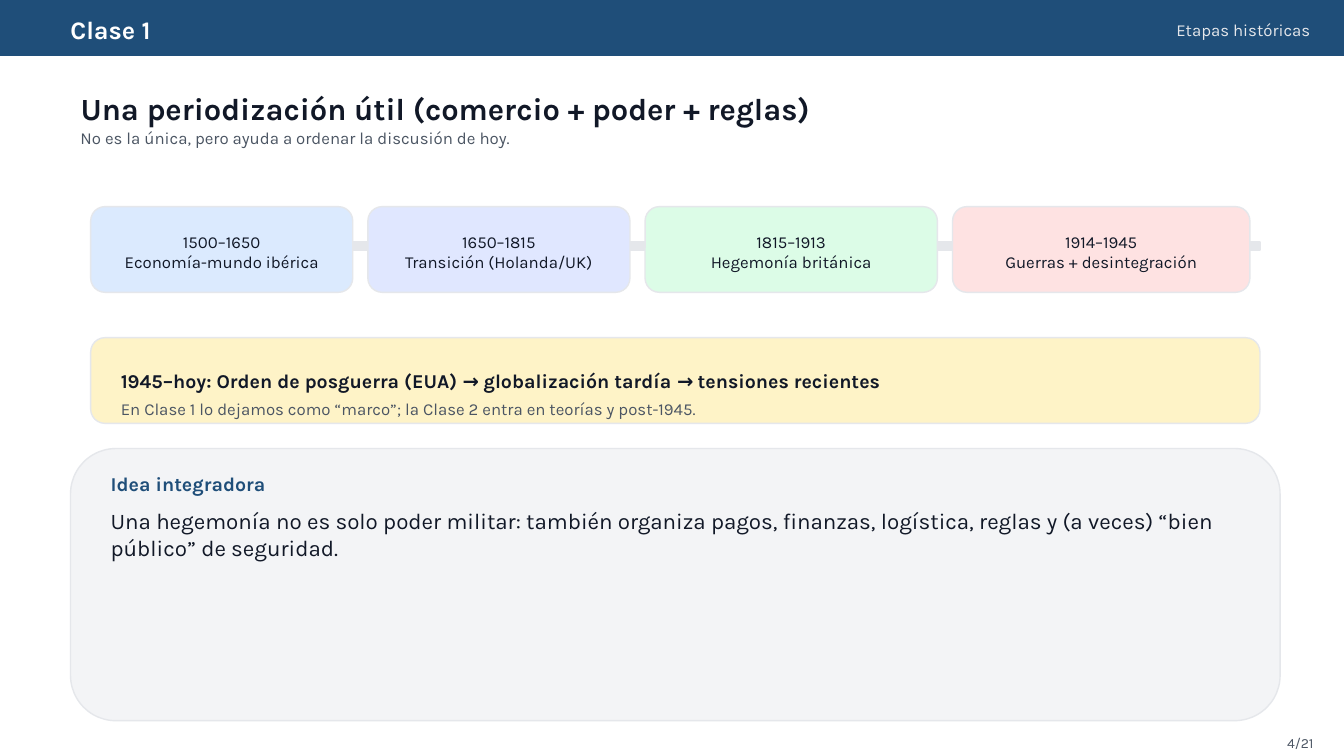
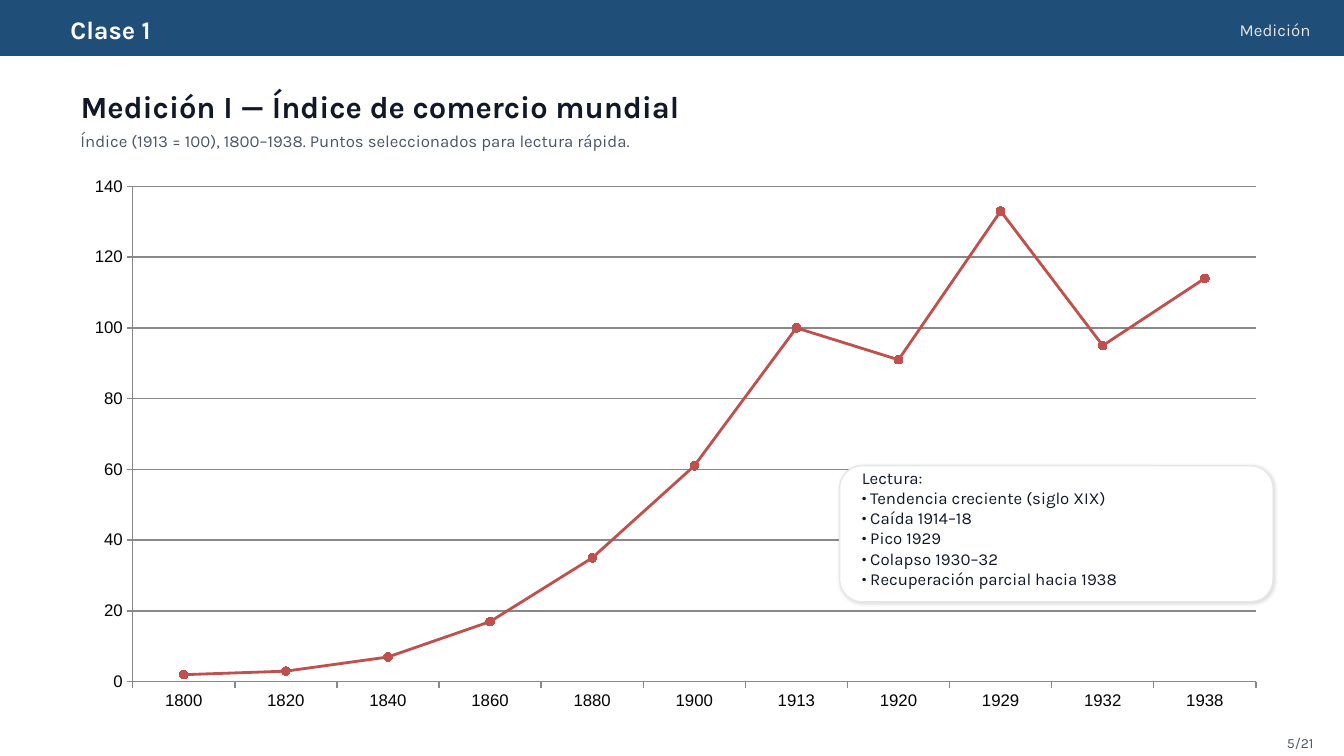
from lxml import etree
from pptx import Presentation
from pptx.chart.data import CategoryChartData
from pptx.dml.color import RGBColor
from pptx.enum.chart import XL_CHART_TYPE, XL_MARKER_STYLE, XL_TICK_LABEL_POSITION, XL_TICK_MARK
from pptx.enum.shapes import MSO_SHAPE
from pptx.enum.text import MSO_ANCHOR, MSO_AUTO_SIZE, PP_ALIGN
from pptx.oxml import parse_xml
from pptx.oxml.ns import nsdecls, qn
from pptx.util import Pt

RECT, ROUNDED = MSO_SHAPE.RECTANGLE, MSO_SHAPE.ROUNDED_RECTANGLE
LEFT, CENTER, RIGHT = PP_ALIGN.LEFT, PP_ALIGN.CENTER, PP_ALIGN.RIGHT
TOP, MIDDLE = MSO_ANCHOR.TOP, MSO_ANCHOR.MIDDLE
LINE_MARKERS, CIRCLE = XL_CHART_TYPE.LINE_MARKERS, XL_MARKER_STYLE.CIRCLE
TICK_OUT, LABELS_LOW = XL_TICK_MARK.OUTSIDE, XL_TICK_LABEL_POSITION.LOW

FONT, CHART_FONT = "Karla", "Arial"
WIDTH, HEIGHT = 960, 540
TITLE_LEFT, CONTENT_WIDTH = 50.4, 864
TITLE_ONLY, TITLE_AND_BODY = 5, 1
PAGE_COUNT = 21

COLORS = {
    "navy": "1F4E79", "white": "FFFFFF", "ink": "111827", "muted": "4B5563",
    "border": "E5E7EB", "panel": "F3F4F6", "blue": "DBEAFE", "indigo": "E0E7FF",
    "green": "DCFCE7", "red": "FEE2E2", "yellow": "FEF3C7",
    "axis": "888888", "series": "C0504D", "black": "000000",
}

PERIODS = [
    ("1500–1650", "Economía-mundo ibérica", 187.2, "blue"),
    ("1650–1815", "Transición (Holanda/UK)", 187.2, "indigo"),
    ("1815–1913", "Hegemonía británica", 208.8, "green"),
    ("1914–1945", "Guerras + desintegración", 212.4, "red"),
]
TRADE_INDEX = {
    "1800": 2, "1820": 3, "1840": 7, "1860": 17, "1880": 35, "1900": 61,
    "1913": 100, "1920": 91, "1929": 133, "1932": 95, "1938": 114,
}
READING = ["Tendencia creciente (siglo XIX)", "Caída 1914–18", "Pico 1929",
           "Colapso 1930–32", "Recuperación parcial hacia 1938"]


def rgb(name):
    return RGBColor.from_string(COLORS[name])


def place(shape, left, top, width, height):
    shape.left, shape.top, shape.width, shape.height = map(Pt, (left, top, width, height))


def set_bullet(para, bulleted):
    properties = para._p.get_or_add_pPr()
    indent = Pt(6) if bulleted else 0
    properties.set("marL", str(indent))
    properties.set("indent", str(-indent))
    if bulleted:
        font = etree.SubElement(properties, qn("a:buFont"))
        font.set("typeface", FONT)
        etree.SubElement(properties, qn("a:buChar")).set("char", "•")
    else:
        etree.SubElement(properties, qn("a:buNone"))


def write(shape, *lines, size=12, color="ink", bold=False, align=LEFT, anchor=MIDDLE,
          bullets_from=None):
    """Fill the shape with one paragraph per line; bullets start at line bullets_from."""
    frame = shape.text_frame
    frame.word_wrap = True
    frame.auto_size = MSO_AUTO_SIZE.NONE
    frame.vertical_anchor = anchor
    for index, line in enumerate(lines):
        para = frame.add_paragraph() if index else frame.paragraphs[0]
        if bullets_from is not None:
            set_bullet(para, index >= bullets_from)
        para.alignment = align
        para.space_before = Pt(0)
        span = para.add_run()
        span.text = line
        span.font.name = FONT
        span.font.size = Pt(size)
        span.font.bold = bold
        span.font.color.rgb = rgb(color)


def add_text(page, area, *lines, **style):
    box = page.shapes.add_textbox(*map(Pt, area))
    write(box, *lines, **style)


def add_box(page, area, fill, line="border", kind=ROUNDED):
    box = page.shapes.add_shape(kind, *map(Pt, area))
    box.fill.solid()
    box.fill.fore_color.rgb = rgb(fill)
    box.line.color.rgb = rgb(line)
    box.line.width = Pt(1)
    box.shadow.inherit = False
    return box


def add_soft_shadow(box):
    effects = box.element.spPr.find(qn("a:effectLst"))
    effects.append(parse_xml(
        f'<a:outerShdw {nsdecls("a")} blurRad="{Pt(3)}" dist="{Pt(1)}" dir="2700000" '
        f'algn="ctr" rotWithShape="0"><a:srgbClr val="{COLORS["black"]}">'
        '<a:alpha val="15000"/></a:srgbClr></a:outerShdw>'))


def add_page(deck, layout, number, section, title, subtitle, title_height, subtitle_height):
    """Add a page with the band, title, subtitle and page number all pages share."""
    page = deck.slides.add_slide(deck.slide_layouts[layout])
    add_box(page, (0, 0, WIDTH, 39.6), "navy", line="navy", kind=RECT)
    add_text(page, (43.2, 8.64, 705.6, 25.2), "Clase 1", size=18, color="white", bold=True)
    add_text(page, (734.4, 10.8, 208.8, 21.6), section, color="border", align=RIGHT)
    place(page.shapes.title, TITLE_LEFT, 61.2, CONTENT_WIDTH, title_height)
    write(page.shapes.title, title, size=22, bold=True)
    add_text(page, (TITLE_LEFT, 87.84, CONTENT_WIDTH, subtitle_height), subtitle, color="muted")
    add_text(page, (880.56, 523.44, 64.8, 14.4), f"{number}/{PAGE_COUNT}",
             size=10, color="muted", align=RIGHT)
    return page


def add_timeline(page, left, top, gap):
    add_box(page, (left, 172.8, 835.2, 5.76), "border", kind=RECT)
    for years, name, width, fill in PERIODS:
        box = add_box(page, (left, top, width, 61.2), fill)
        box.text_frame.margin_top = Pt(6.48)
        write(box, years, name, align=CENTER)
        left += width + gap


def style_axis(axis):
    axis.major_tick_mark = TICK_OUT
    axis.minor_tick_mark = XL_TICK_MARK.NONE
    axis.format.line.color.rgb = rgb("axis")
    axis.format.line.width = Pt(1)


def add_line_chart(page, area, values):
    data = CategoryChartData()
    data.categories = list(values)
    data.add_series("Series 1", list(values.values()))
    chart = page.shapes.add_chart(LINE_MARKERS, *map(Pt, area), data).chart
    chart.has_legend = chart.has_title = False
    chart.font.name = CHART_FONT
    chart.font.size = Pt(12)
    chart.font.color.rgb = rgb("black")

    style_axis(chart.category_axis)
    chart.category_axis.tick_label_position = LABELS_LOW
    scale = chart.value_axis
    style_axis(scale)
    scale.minimum_scale, scale.maximum_scale, scale.major_unit = 0, 140, 20
    scale.has_major_gridlines = True
    grid = scale.major_gridlines.format.line
    grid.color.rgb = rgb("axis")
    grid.width = Pt(1)

    plot = chart.plots[0]
    plot.vary_by_categories = False
    series = plot.series[0]
    series.smooth = False
    series.format.line.color.rgb = rgb("series")
    series.format.line.width = Pt(2)
    series.marker.style = CIRCLE
    series.marker.size = 6
    series.marker.format.fill.solid()
    series.marker.format.fill.fore_color.rgb = rgb("series")
    series.marker.format.line.color.rgb = rgb("series")


def build_periods(deck):
    page = add_page(deck, TITLE_ONLY, 4, "Etapas históricas",
                    "Una periodización útil (comercio + poder + reglas)",
                    "No es la única, pero ayuda a ordenar la discusión de hoy.", 32.4, 21.6)
    add_timeline(page, left=64.8, top=147.6, gap=10.8)

    add_box(page, (64.8, 241.2, 835.2, 61.2), "yellow")
    add_text(page, (79.2, 257.76, 806.4, 28.8),
             "1945–hoy: Orden de posguerra (EUA) → globalización tardía → tensiones recientes",
             size=14, bold=True)
    add_text(page, (79.2, 279.36, 806.4, 25.2),
             "En Clase 1 lo dejamos como “marco”; la Clase 2 entra en teorías y post-1945.",
             color="muted")

    add_box(page, (TITLE_LEFT, 320.4, CONTENT_WIDTH, 194.4), "panel")
    add_text(page, (72, 334.8, 396, 21.6), "Idea integradora", size=14, color="navy", bold=True)
    add_text(page, (72, 358.56, 820.8, 129.6),
             "Una hegemonía no es solo poder militar: también organiza pagos, finanzas, "
             "logística, reglas y (a veces) “bien público” de seguridad.",
             size=16, anchor=TOP)


def build_measurement(deck):
    page = add_page(deck, TITLE_AND_BODY, 5, "Medición",
                    "Medición I — Índice de comercio mundial",
                    "Índice (1913 = 100), 1800–1938. Puntos seleccionados para lectura rápida.",
                    28.8, 25.2)
    add_line_chart(page, (TITLE_LEFT, 118.8, CONTENT_WIDTH, 396), TRADE_INDEX)
    card = add_box(page, (599.76, 332.64, 309.6, 97.2), "white")
    add_soft_shadow(card)
    reading = page.placeholders[1]
    place(reading, 608.4, 330.48, 280.8, 79.2)
    write(reading, "Lectura:", *READING, anchor=TOP, bullets_from=1)
    card.element.addnext(reading.element)


def main():
    deck = Presentation()
    deck.slide_width, deck.slide_height = Pt(WIDTH), Pt(HEIGHT)
    build_periods(deck)
    build_measurement(deck)
    deck.save("out.pptx")


if __name__ == "__main__":
    main()
